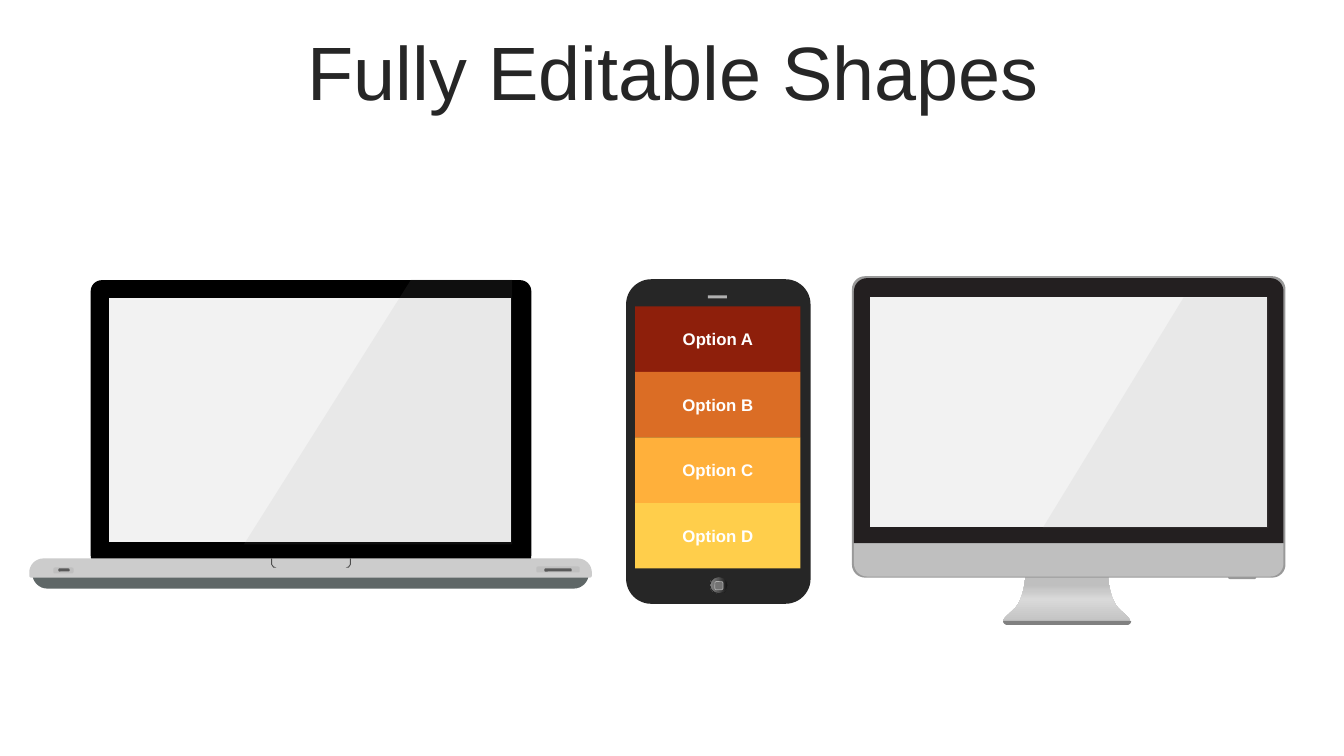
from math import cos, pi, sin

from lxml.etree import SubElement
from pptx import Presentation
from pptx.dml.color import RGBColor
from pptx.enum.shapes import MSO_SHAPE as Preset
from pptx.enum.text import MSO_ANCHOR as Anchor, PP_ALIGN as Align
from pptx.oxml.ns import qn
from pptx.util import Inches, Pt

CELL = Inches(0.01)  # the grid has 1333 columns and 750 rows
COLUMNS, ROWS = 1333, 750
FONT = "Arial"
COLOURS = {
    "ink": "262626", "white": "FFFFFF", "black": "000000",
    "screen": "F2F2F2", "glare": "999999", "rim": "999999",
    "bezel": "231F20", "chin": "BFBFBF", "foot": "808080",
    "underside": "5F6767", "deck": "CCCCCC", "notch": "4D4D4D",
    "port": "BFBFBF", "slot": "595959", "speaker": "B0B0B0", "key": "737373",
}
OPTIONS = {"Option A": "8E1F0B", "Option B": "DB6D25",
           "Option C": "FFB03B", "Option D": "FFCE4B"}
STAND_STOPS = [(0, "BFBFBF"), (53, "D9D9D9"), (83, "BFBFBF"), (100, "BFBFBF")]
BUTTON_STOPS = [(0, "0F0F0F"), (56, "595959"), (91, "808080"), (100, "BFBFBF")]


def colour(name):
    return RGBColor.from_string(COLOURS.get(name, name))


def paint(shape, fill):
    shape.shadow.inherit = False
    shape.line.fill.background()
    shape.fill.solid()
    shape.fill.fore_color.rgb = colour(fill)
    return shape


def paint_gradient(shape, stops, angle):
    shape.fill.gradient()
    shape.fill.gradient_angle = angle
    stop_list = shape.element.spPr.find(qn("a:gradFill")).find(qn("a:gsLst"))
    for stop in list(stop_list):
        stop_list.remove(stop)
    for position, value in stops:
        stop = SubElement(stop_list, qn("a:gs"), pos=str(position * 1000))
        SubElement(stop, qn("a:srgbClr"), val=value)


def outline_shape(slide, line, width):
    slide.line.color.rgb = colour(line)
    slide.line.width = Pt(width)


def add_preset(slide, preset, left, top, width, height, fill, corner=None):
    box = [round(value * CELL) for value in (left, top, width, height)]
    shape = paint(slide.shapes.add_shape(preset, *box), fill)
    if corner is not None:
        shape.adjustments[0] = corner
    return shape


def add_outline(slide, fill, *contours):
    """Draw closed contours, each a list of grid points, as one freeform."""
    scaled = [[(x * CELL, y * CELL) for x, y in points] for points in contours]
    builder = slide.shapes.build_freeform(*scaled[0][0], scale=1.0)
    for index, points in enumerate(scaled):
        if index:
            builder.move_to(*points[0])
        builder.add_line_segments(points[1:], close=True)
    return paint(builder.convert_to_shape(), fill)


def add_panel(slide, left, top, right, bottom, fill, top_radius=0, bottom_radius=0):
    """Draw a panel whose upper and lower corners have their own radii."""
    corners = [(right, bottom, -1, -1, bottom_radius), (left, bottom, 1, -1, bottom_radius),
               (left, top, 1, 1, top_radius), (right, top, -1, 1, top_radius)]
    points = []
    for quarter, (x, y, inward_x, inward_y, radius) in enumerate(corners):
        for step in range(9 if radius else 1):
            angle = (quarter + step / 8) * pi / 2
            points.append((x + radius * (inward_x + cos(angle)),
                           y + radius * (inward_y + sin(angle)))
                          if radius else (x, y))
    return add_outline(slide, fill, points)


def add_glare(slide, top_left, right, bottom_left, top, bottom):
    shape = add_outline(slide, "glare", [(top_left, top), (right, top),
                                         (right, bottom), (bottom_left, bottom)])
    value = shape.element.spPr.find(qn("a:solidFill")).find(qn("a:srgbClr"))
    SubElement(value, qn("a:alpha"), val="10000")
    return shape


def curve(start, first, second, end, steps=10):
    """Points along a cubic curve."""
    shares = [step / steps for step in range(steps + 1)]
    return [tuple((1 - t) ** 3 * a + 3 * (1 - t) ** 2 * t * b
                  + 3 * (1 - t) * t ** 2 * c + t ** 3 * d
                  for a, b, c, d in zip(start, first, second, end))
            for t in shares]


def mirror(points, axis):
    return [(2 * axis - x, y) for x, y in reversed(points)]


def add_title(slide, text):
    title = slide.shapes.title
    title.left, title.top = 35 * CELL, 36 * CELL
    title.width, title.height = 1266 * CELL, 79 * CELL
    frame = title.text_frame
    frame.text = text
    frame.word_wrap = True
    frame.vertical_anchor = Anchor.MIDDLE
    paragraph = frame.paragraphs[0]
    paragraph.alignment = Align.CENTER
    paragraph.line_spacing = 0.9
    paragraph.font.name, paragraph.font.size = FONT, Pt(54)
    paragraph.font.color.rgb = colour("ink")


def add_monitor(slide):
    axis = 1058
    side = (curve((1099, 572), (1099, 572), (1100, 593), (1109, 603))
            + curve((1109, 603), (1118, 612), (1132, 620), (1108, 620)))
    stand = add_outline(slide, "chin", side + mirror(side, axis))
    paint_gradient(stand, STAND_STOPS, 90)
    return [
        stand,
        add_panel(slide, 845, 274, 1275, 573, "rim", 13, 13),
        add_panel(slide, 1218, 572, 1246, 574.5, "rim", 0, 2),
        add_panel(slide, 847, 276, 1273, 539, "bezel", 13),
        add_panel(slide, 995, 616, 1122, 620, "foot", 0, 4),
        add_panel(slide, 847, 539, 1273, 572, "chin", 0, 13),
        add_panel(slide, 863, 295, 1257, 523, "screen"),
        add_glare(slide, 1174, 1258, 1034, 295, 524),
    ]


def add_option(slide, row, text, fill):
    height = 65
    shape = add_preset(slide, Preset.RECTANGLE, 630, 304 + row * height, 164, height, fill)
    frame = shape.text_frame
    frame.text = text
    frame.vertical_anchor = Anchor.MIDDLE
    paragraph = frame.paragraphs[0]
    paragraph.alignment = Align.CENTER
    paragraph.font.name, paragraph.font.size = FONT, Pt(12)
    paragraph.font.bold = True
    paragraph.font.color.rgb = colour("white")
    return shape


def add_tablet(slide):
    case = add_preset(slide, Preset.ROUNDED_RECTANGLE, 621, 277, 183, 322, "ink", 0.136)
    speaker = add_preset(slide, Preset.RECTANGLE, 702, 293, 19, 3, "speaker")
    button = add_preset(slide, Preset.OVAL, 704, 572, 18, 17, "key")
    paint_gradient(button, BUTTON_STOPS, 180)
    outline_shape(button, "ink", 0)
    key = add_preset(slide, Preset.ROUNDED_RECTANGLE, 709, 577, 8, 8, "key")
    outline_shape(key, "speaker", 0.5)
    options = [add_option(slide, row, text, fill)
               for row, (text, fill) in enumerate(OPTIONS.items())]
    return [case, speaker, button, key, *options]


def add_laptop(slide):
    hook = [(269, 554), (269, 560), (271, 563), (274, 563),
            (271.5, 562), (270, 560), (270, 554)]
    body = [
        add_panel(slide, 32, 568, 584, 584, "underside", 0, 15),
        add_panel(slide, 90, 278, 527, 562, "black", 11, 11),
        add_panel(slide, 108, 296, 507, 538, "screen"),
        add_panel(slide, 29, 554, 587, 573, "deck", 14, 2),
        add_outline(slide, "notch", hook, mirror(hook, 308.5)),
    ]
    ports = [(53, 563, 20, 6, "port"), (58, 564, 11, 3, "slot"),
             (532, 562, 43, 6, "port"), (540, 564, 27, 3, "slot")]
    body += [add_preset(slide, Preset.ROUNDED_RECTANGLE, *port, corner=0.282)
             for port in ports]
    return body + [add_glare(slide, 408, 508, 242, 277, 540)]


def main():
    presentation = Presentation()
    presentation.slide_width = COLUMNS * CELL
    presentation.slide_height = ROWS * CELL
    slide = presentation.slides.add_slide(presentation.slide_layouts[5])
    add_title(slide, "Fully Editable Shapes")
    for add_device in (add_monitor, add_tablet, add_laptop):
        slide.shapes.add_group_shape(add_device(slide))
    presentation.save("out.pptx")


if __name__ == "__main__":
    main()
